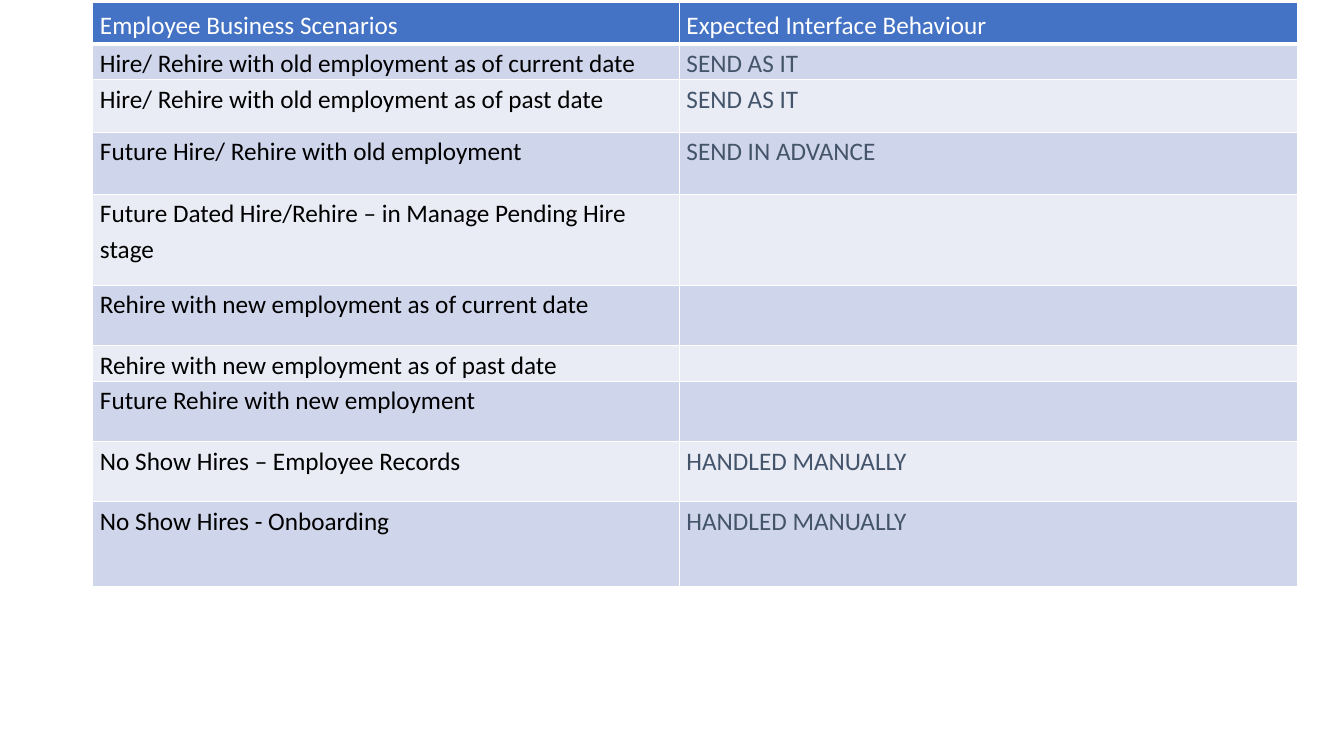
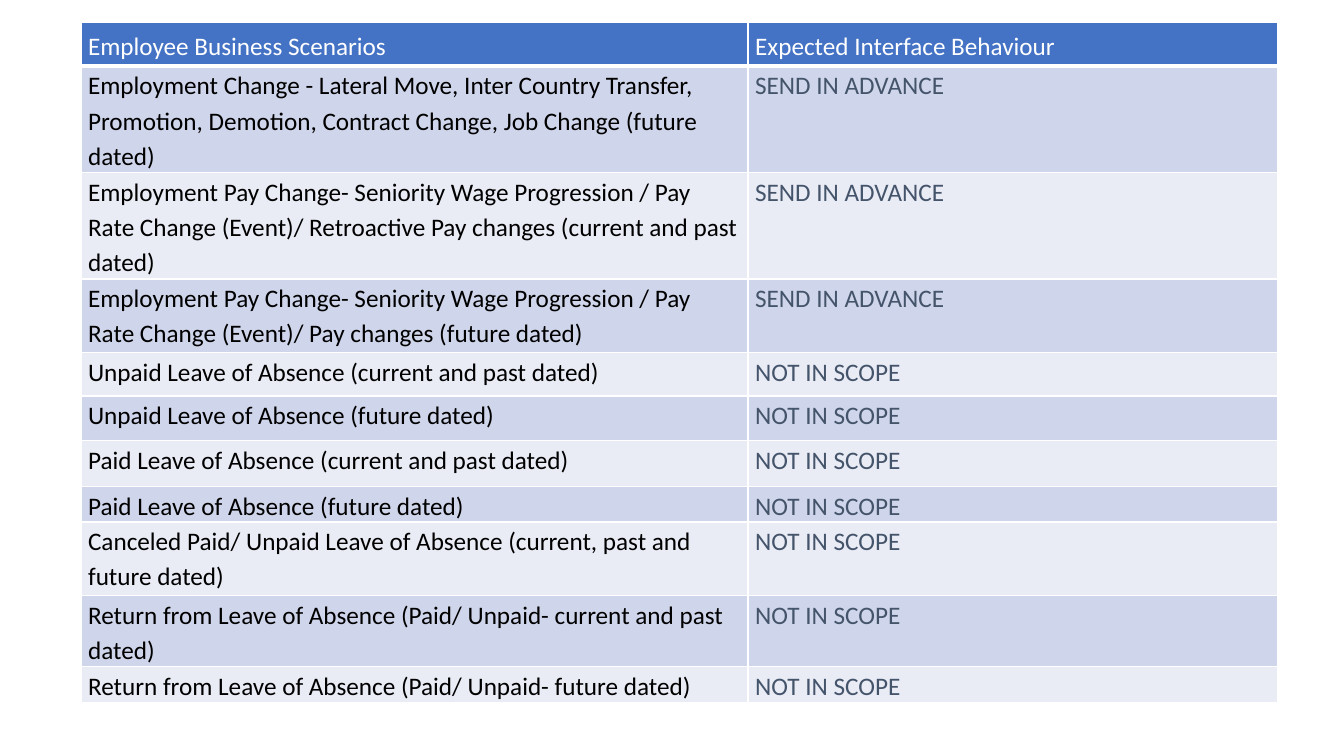
from lxml.etree import SubElement
from pptx import Presentation
from pptx.dml.color import RGBColor
from pptx.enum.text import MSO_ANCHOR, PP_ALIGN
from pptx.oxml.ns import qn
from pptx.util import Cm, Pt

WHITE = RGBColor(0xFF, 0xFF, 0xFF)
BLACK = RGBColor(0, 0, 0)
SLATE = RGBColor(0x44, 0x54, 0x6A)
BLUE = RGBColor(0x44, 0x72, 0xC4)
BANDS = RGBColor(0xCF, 0xD5, 0xEA), RGBColor(0xE9, 0xEB, 0xF5)
FONT = "Calibri"

HEAD = "Employee Business Scenarios", "Expected Interface Behaviour"
ASIS = "SEND AS IT"
EARLY = "SEND IN ADVANCE"
HAND = "HANDLED MANUALLY"
OUT = "NOT IN SCOPE"

TABLES = [
    {
        "at": (2.34, 0.06),
        "cols": (14.78, 15.57),
        "head": 1.05,
        "rows": [
            (0.89, "Hire/ Rehire with old employment as of current date", ASIS),
            (1.33, "Hire/ Rehire with old employment as of past date", ASIS),
            (1.56, "Future Hire/ Rehire with old employment", EARLY),
            (2.3, "Future Dated Hire/Rehire – in Manage Pending Hire stage", ""),
            (1.52, "Rehire with new employment as of current date", ""),
            (0.89, "Rehire with new employment as of past date", ""),
            (1.52, "Future Rehire with new employment", ""),
            (1.52, "No Show Hires – Employee Records", HAND),
            (2.13, "No Show Hires - Onboarding", HAND),
        ],
    },
    {
        "at": (2.04, 0.56),
        "cols": (16.81, 13.34),
        "head": 1.11,
        "rows": [
            (2.68, "Employment Change - Lateral Move, Inter Country Transfer, "
                   "Promotion, Demotion, Contract Change, Job Change (future dated)", EARLY),
            (2.68, "Employment Pay Change- Seniority Wage Progression / Pay Rate Change "
                   "(Event)/ Retroactive Pay changes (current and past dated)", EARLY),
            (1.86, "Employment Pay Change- Seniority Wage Progression / Pay Rate Change "
                   "(Event)/ Pay changes (future dated)", EARLY),
            (1.09, "Unpaid Leave of Absence (current and past dated)", OUT),
            (1.12, "Unpaid Leave of Absence (future dated)", OUT),
            (1.16, "Paid Leave of Absence (current and past dated)", OUT),
            (0.89, "Paid Leave of Absence (future dated)", OUT),
            (1.86, "Canceled Paid/ Unpaid Leave of Absence (current, past and future dated)", OUT),
            (1.79, "Return from Leave of Absence (Paid/ Unpaid- current and past dated)", OUT),
            (0.89, "Return from Leave of Absence (Paid/ Unpaid- future dated)", OUT),
        ],
    },
]


def write(cell, text, color=BLACK, align=PP_ALIGN.LEFT, anchor=MSO_ANCHOR.TOP):
    cell.margin_left = cell.margin_right = Cm(0.18)
    cell.margin_top = cell.margin_bottom = 0
    cell.vertical_anchor = anchor
    para = cell.text_frame.paragraphs[0]
    para.alignment = align
    para.line_spacing = 1.15
    para.space_after = Pt(10)
    if text:
        run = para.add_run()
        run.text = text
        run.font.name = FONT
        run.font.size = Pt(18)
        run.font.bold = False
        run.font.color.rgb = color


def paint(cell, fill, base=1):
    props = cell._tc.get_or_add_tcPr()
    for side, width in ("lnL", 1), ("lnR", 1), ("lnT", 1), ("lnB", base):
        line = SubElement(props, qn(f"a:{side}"), w=str(Pt(width)))
        solid = SubElement(line, qn("a:solidFill"))
        SubElement(solid, qn("a:srgbClr"), val=str(WHITE))
    cell.fill.solid()
    cell.fill.fore_color.rgb = fill


def build(slide, data):
    rows, cols = data["rows"], data["cols"]
    highs = [data["head"]] + [row[0] for row in rows]
    left, top = data["at"]
    table = slide.shapes.add_table(
        len(highs), len(cols), Cm(left), Cm(top), Cm(sum(cols)), Cm(sum(highs))
    ).table
    for column, width in zip(table.columns, cols):
        column.width = Cm(width)
    for row, high in zip(table.rows, highs):
        row.height = Cm(high)
    for col, text in enumerate(HEAD):
        cell = table.cell(0, col)
        write(cell, text, color=WHITE, align=PP_ALIGN.JUSTIFY, anchor=MSO_ANCHOR.MIDDLE)
        paint(cell, BLUE, base=3)
    for index, (_, *texts) in enumerate(rows):
        for col, (text, color) in enumerate(zip(texts, (BLACK, SLATE))):
            cell = table.cell(index + 1, col)
            write(cell, text, color=color)
            paint(cell, BANDS[index % 2])


def main():
    deck = Presentation()
    deck.slide_width, deck.slide_height = Cm(33.87), Cm(19.05)
    for data in TABLES:
        build(deck.slides.add_slide(deck.slide_layouts[6]), data)
    deck.save("out.pptx")


if __name__ == "__main__":
    main()
